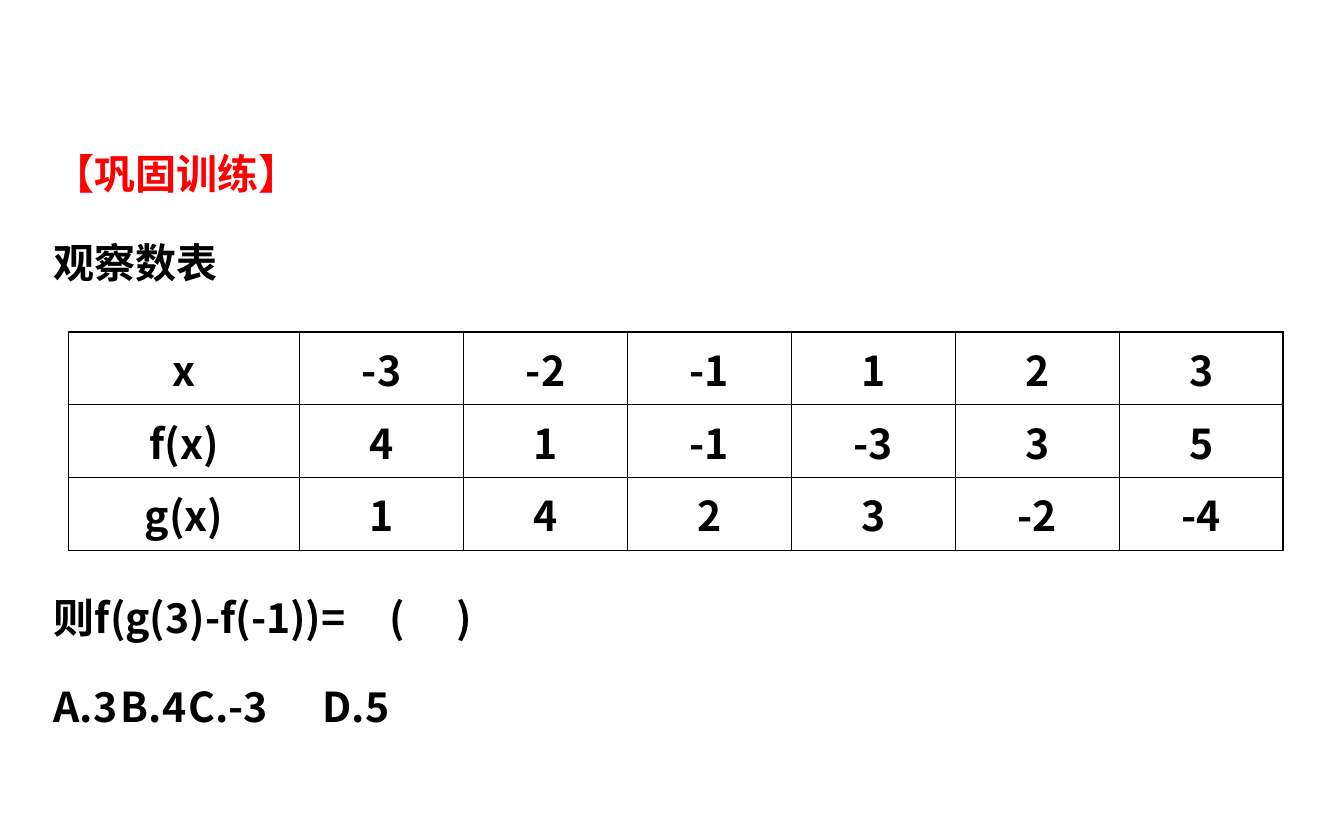
from dataclasses import dataclass

from lxml import etree
from pptx import Presentation
from pptx.dml.color import RGBColor
from pptx.enum.text import MSO_ANCHOR, MSO_AUTO_SIZE, PP_ALIGN
from pptx.oxml.ns import qn
from pptx.util import Inches, Pt

LEFT, CENTER = PP_ALIGN.LEFT, PP_ALIGN.CENTER
TOP = MSO_ANCHOR.TOP
NO_FIT = MSO_AUTO_SIZE.NONE


@dataclass(frozen=True)
class Theme:
    font: str = "Noto Sans CJK SC"
    size: int = 22
    accent: str = "FF0000"
    ink: str = "000000"
    spacing: float = 1.8
    outer: float = 0.96
    inner: float = 0.45


THEME = Theme()

HEADING = "【巩固训练】"
INTRO = "观察数表"
VALUES = [
    ("x", "-3", "-2", "-1", "1", "2", "3"),
    ("f(x)", "4", "1", "-1", "-3", "3", "5"),
    ("g(x)", "1", "4", "2", "3", "-2", "-4"),
]
QUESTION = "则f(g(3)-f(-1))=\t(\t)"
OPTIONS = ["A.3", "B.4", "C.-3", "D.5"]

# Lengths in inches
WIDTH, HEIGHT = 10, 6.25
TEXT_LEFT, TEXT_TOP, TEXT_WIDTH, TEXT_HEIGHT = 0.3, 0.76, 9.43, 4.72
LINE = 0.66
TABLE_LEFT, TABLE_TOP = 0.51, 2.47
LABEL_COL, VALUE_COL, ROW = 1.72, 1.22, 0.5
TABLE_LINES = 3
BLANK_TABS = (2.68, 3.56)
OPTION_TABS = (2.12, 4.29, 6.54)


def write(p, text, color=THEME.ink, align=LEFT, spacing=1.0, before=0, tabs=()):
    pPr = p._p.get_or_add_pPr()
    pPr.set("marL", "0")
    pPr.set("indent", "0")
    etree.SubElement(pPr, qn("a:buNone"))
    if tabs:
        tab_list = etree.SubElement(pPr, qn("a:tabLst"))
        for pos in tabs:
            etree.SubElement(tab_list, qn("a:tab"), pos=str(Inches(pos)), algn="l")
    p.alignment = align
    p.line_spacing = spacing
    p.space_before = Pt(before)
    p.space_after = Pt(0)
    r = p.add_run()
    r.text = text
    r.font.size = Pt(THEME.size)
    r.font.bold = True
    r.font.color.rgb = RGBColor.from_string(color)
    r.font.name = THEME.font
    etree.SubElement(r._r.get_or_add_rPr(), qn("a:ea"), typeface=THEME.font)


def place(sp, top, height):
    """Put a placeholder in the text column and return its text frame."""
    sp.left, sp.top = Inches(TEXT_LEFT), Inches(top)
    sp.width, sp.height = Inches(TEXT_WIDTH), Inches(height)
    tf = sp.text_frame
    tf.word_wrap = True
    tf.auto_size = NO_FIT
    tf.vertical_anchor = TOP
    return tf


def set_borders(cell, widths):
    tcPr = cell._tc.get_or_add_tcPr()
    for i, (side, width) in enumerate(widths.items()):
        ln = etree.Element(qn(f"a:ln{side}"), w=str(Pt(width)))
        fill = etree.SubElement(ln, qn("a:solidFill"))
        etree.SubElement(fill, qn("a:srgbClr"), val=THEME.ink)
        tcPr.insert(i, ln)


def add_values(slide):
    rows, cols = len(VALUES), len(VALUES[0])
    widths = [LABEL_COL] + [VALUE_COL] * (cols - 1)
    table = slide.shapes.add_table(
        rows, cols, Inches(TABLE_LEFT), Inches(TABLE_TOP),
        Inches(sum(widths)), Inches(ROW * rows)).table
    table.first_row = table.horz_banding = False
    for col, width in zip(table.columns, widths):
        col.width = Inches(width)
    for i, values in enumerate(VALUES):
        table.rows[i].height = Inches(ROW)
        for j, value in enumerate(values):
            cell = table.cell(i, j)
            cell.fill.background()
            cell.vertical_anchor = TOP
            write(cell.text_frame.paragraphs[0], value, align=CENTER)
            on_edge = {"L": j == 0, "R": j == cols - 1,
                       "T": i == 0, "B": i == rows - 1}
            set_borders(cell, {side: THEME.outer if edge else THEME.inner
                               for side, edge in on_edge.items()})


def main():
    prs = Presentation()
    prs.slide_width, prs.slide_height = Inches(WIDTH), Inches(HEIGHT)
    slide = prs.slides.add_slide(prs.slide_layouts[1])
    title, body = slide.placeholders

    tf = place(title, TEXT_TOP, LINE + 0.1)
    write(tf.paragraphs[0], HEADING, color=THEME.accent, spacing=THEME.spacing)

    tf = place(body, TEXT_TOP + LINE, TEXT_HEIGHT - LINE)
    write(tf.paragraphs[0], INTRO, spacing=THEME.spacing)
    write(tf.add_paragraph(), QUESTION, spacing=THEME.spacing,
          before=round(TABLE_LINES * LINE * 72), tabs=BLANK_TABS)
    write(tf.add_paragraph(), "\t".join(OPTIONS), spacing=THEME.spacing,
          tabs=OPTION_TABS)

    add_values(slide)
    prs.save("out.pptx")


if __name__ == "__main__":
    main()
